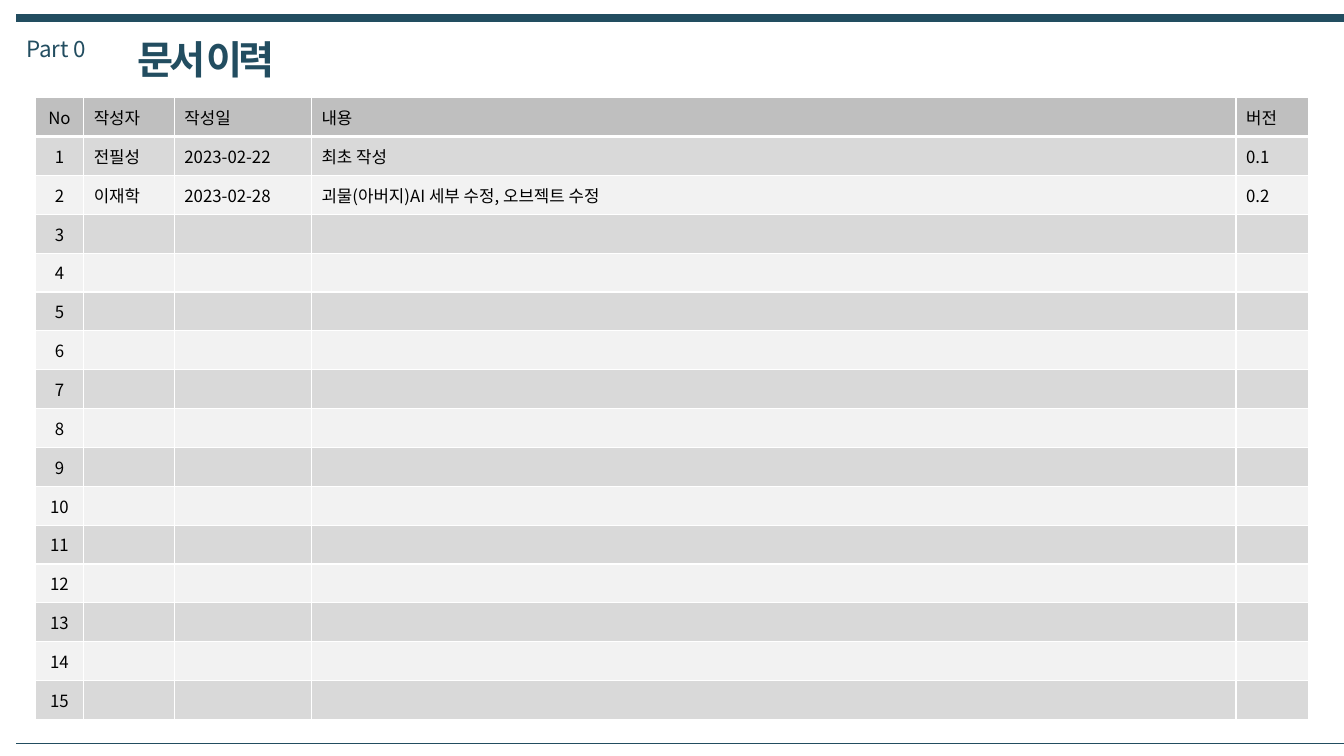
import pptx
import pptx.util
import pptx.dml.color
import pptx.enum.shapes
import pptx.enum.text
import pptx.oxml
import pptx.oxml.ns

COLORS = {
    "navy": "224D60",
    "black": "000000",
    "white": "FFFFFF",
    "header": "BFBFBF",
    "odd": "D9D9D9",
    "even": "F2F2F2",
}
FONT = "Noto Sans CJK KR"
ALIGN = pptx.enum.text.PP_ALIGN
NS = pptx.oxml.ns.nsdecls("a")


def write(tf, text, size=12, color="black", bold=False, spacing=None, align=ALIGN.LEFT):
    p = tf.paragraphs[0]
    p.alignment = align
    r = p.add_run()
    r.text = text
    r.font.size = pptx.util.Pt(size)
    r.font.bold = bold
    r.font.color.rgb = pptx.dml.color.RGBColor.from_string(COLORS[color])
    r.font.name = FONT
    rpr = r.font._element
    rpr.append(pptx.oxml.parse_xml(f'<a:ea {NS} typeface="{FONT}"/>'))
    if spacing is not None:
        rpr.set("spc", str(spacing * 100))


def set_border(cell, side, width):
    cell._tc.get_or_add_tcPr().append(pptx.oxml.parse_xml(
        f'<a:ln{side} {NS} w="{pptx.util.Pt(width)}"><a:solidFill>'
        f'<a:srgbClr val="{COLORS["white"]}"/></a:solidFill></a:ln{side}>'))


prs = pptx.Presentation()
prs.slide_width = pptx.util.Inches(13.33)
prs.slide_height = pptx.util.Inches(7.5)
s = prs.slides.add_slide(prs.slide_layouts[6])

# Grid: one hundred columns by one hundred rows
col = prs.slide_width / 100
row = prs.slide_height / 100

# Rules at the top and bottom
for y, width in [(2.4, 6), (98.27, 0.25)]:
    rule = s.shapes.add_connector(
        pptx.enum.shapes.MSO_CONNECTOR.STRAIGHT,
        int(1.2 * col), int(y * row), int(100.15 * col), int(y * row))
    rule.line.color.rgb = pptx.dml.color.RGBColor.from_string(COLORS["navy"])
    rule.line.width = pptx.util.Pt(width)
    rule._element.spPr.append(pptx.oxml.parse_xml(f"<a:effectLst {NS}/>"))

# Part label and title
headings = [
    ("Part 0", 1.2, 6, 4.93, {"size": 16}),
    ("문서 이력", 9.53, 12.15, 7.6, {"size": 28, "bold": True, "spacing": -3}),
]
for text, x, w, h, style in headings:
    sp = s.shapes.add_textbox(int(x * col), int(4 * row), int(w * col), int(h * row))
    tf = sp.text_frame
    tf.word_wrap = False
    tf.auto_size = pptx.enum.text.MSO_AUTO_SIZE.SHAPE_TO_FIT_TEXT
    write(tf, text, color="navy", **style)

# Revision history: header, two entries, then numbered blank rows
entries = [
    ["No", "작성자", "작성일", "내용", "버전"],
    ["1", "전필성", "2023-02-22", "최초 작성", "0.1"],
    ["2", "이재학", "2023-02-28", "괴물(아버지)AI 세부 수정, 오브젝트 수정", "0.2"],
]
entries += [[str(n), "", "", "", ""] for n in range(3, 16)]
widths = [3.6, 6.75, 10.2, 68.79, 5.4]
row_height = 5.14

table = s.shapes.add_table(
    len(entries), len(widths), int(2.63 * col), int(12.93 * row),
    int(sum(widths) * col), int(len(entries) * row_height * row)).table
for column, w in zip(table.columns, widths):
    column.width = int(w * col)

for i, entry in enumerate(entries):
    table.rows[i].height = int(row_height * row)
    fill = "header" if i == 0 else "odd" if i % 2 else "even"
    for j, text in enumerate(entry):
        cell = table.cell(i, j)
        cell.vertical_anchor = pptx.enum.text.MSO_ANCHOR.MIDDLE
        cell.margin_top = cell.margin_bottom = int(0.3 * row)
        for side in "LRTB":
            set_border(cell, side, 3 if i == 0 and side == "B" else 1)
        cell.fill.solid()
        cell.fill.fore_color.rgb = pptx.dml.color.RGBColor.from_string(COLORS[fill])
        if text:
            write(cell.text_frame, text, align=ALIGN.LEFT if j else ALIGN.CENTER)

prs.save("out.pptx")
